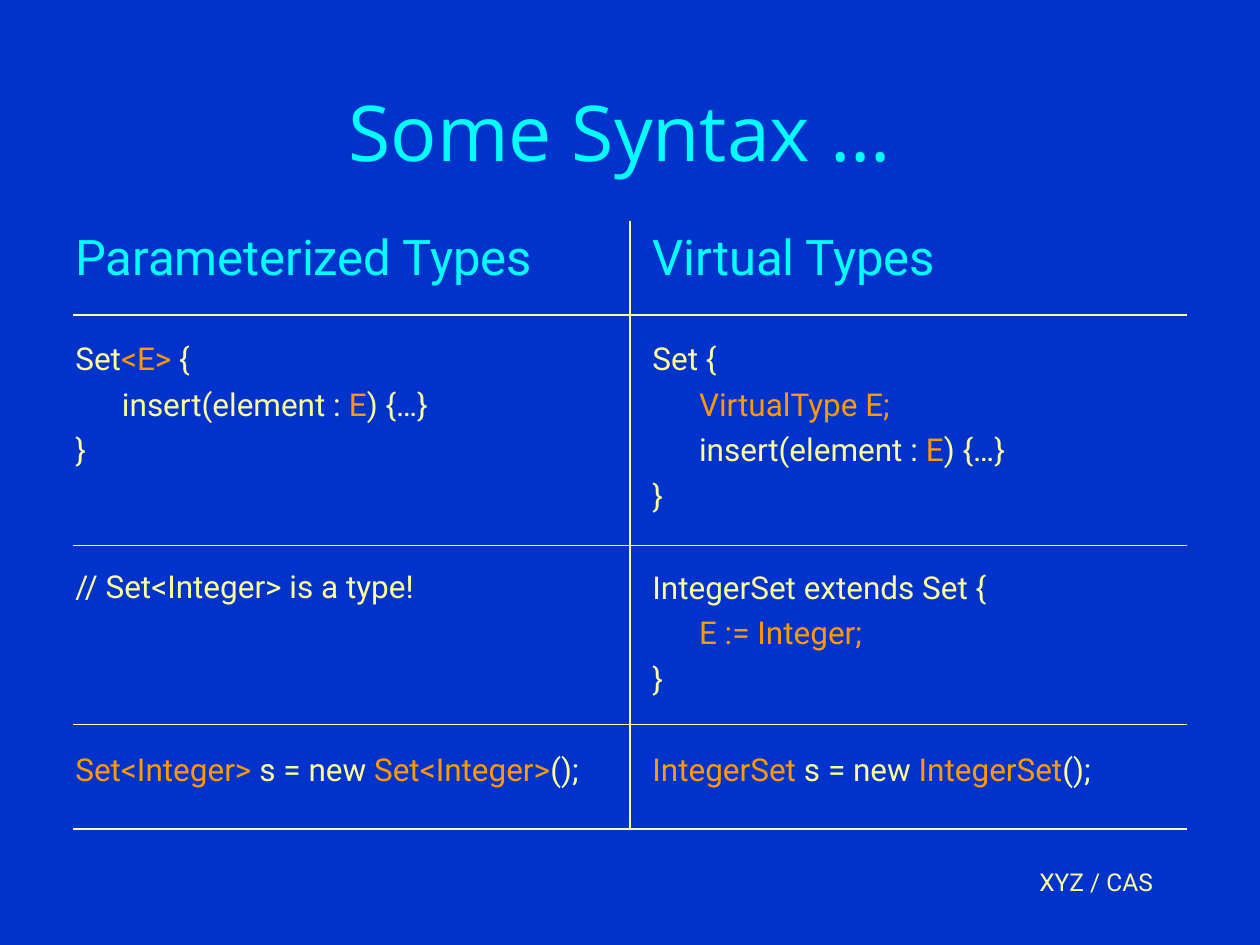
"""Build a slide comparing the syntax of parameterized and virtual types."""
from lxml import etree
from pptx import Presentation
from pptx.dml.color import RGBColor
from pptx.enum import shapes, text
from pptx.oxml import ns
from pptx.util import Inches, Pt

COLORS = {"back": "0033CC", "head": "00FFFF", "body": "FFFF99", "accent": "FF9900"}
BODY_FONT, TITLE_FONT = "Roboto", "Open Sans"
LINE_GAP, LINE_PITCH = 4.5, 26.1

PARAMETERIZED = [
    (1, "Set|<E>| {"),
    (0, "\tinsert(element : |E|) {…}"),
    (0, "}"),
    (2, "// Set<Integer> is a type!"),
    (3, "|Set<Integer> |s = new| Set<Integer>|();"),
]
VIRTUAL = [
    (1, "Set {"),
    (0, "\t|VirtualType E;"),
    (0, "\tinsert(element : |E|) {…}"),
    (0, "}"),
    (1, "IntegerSet extends Set {"),
    (0, "\t|E := Integer;"),
    (0, "}"),
    (1, "|IntegerSet |s = new| IntegerSet|();"),
]


def rgb(name):
    """Return the named colour."""
    return RGBColor.from_string(COLORS[name])


def add_run(p, words, size, color, font=BODY_FONT):
    """Append a formatted run to a paragraph."""
    r = p.add_run()
    r.text = words
    r.font.size = Pt(size)
    r.font.name = font
    r.font.color.rgb = rgb(color)


def add_box(s, box):
    """Add a wrapping text box and return its text frame."""
    tf = s.shapes.add_textbox(*map(Inches, box)).text_frame
    tf.word_wrap = True
    return tf


def add_label(s, box, words, size, color, font, align, anchor):
    """Add a single-line label."""
    tf = add_box(s, box)
    tf.vertical_anchor = anchor
    p = tf.paragraphs[0]
    p.alignment = align
    add_run(p, words, size, color, font)


def add_column(s, box, heading, lines):
    """Add a heading and code lines, where odd parts between bars are accented."""
    tf = add_box(s, box)
    p = tf.paragraphs[0]
    p.space_before = Pt(7)
    add_run(p, heading, 28, "head")
    for skipped, line in lines:
        p = tf.add_paragraph()
        p.space_before = Pt(LINE_GAP + skipped * LINE_PITCH)
        if line.startswith("\t"):
            p._p.get_or_add_pPr().set("marL", str(Inches(0.37)))
        for i, part in enumerate(line.lstrip("\t").split("|")):
            if part:
                add_run(p, part, 18, "accent" if i % 2 else "body")


def add_rule(s, x1, y1, x2, y2):
    """Add a thin straight rule."""
    c = s.shapes.add_connector(
        shapes.MSO_CONNECTOR.STRAIGHT, *map(Inches, (x1, y1, x2, y2)))
    c.line.color.rgb = rgb("body")
    c.line.width = Pt(0.75)
    etree.SubElement(c._element.spPr, ns.qn("a:effectLst"))


def add_grid(s, left, top, width, height, middle, rows):
    """Rule off the rows and the two columns of the comparison."""
    for y in rows:
        add_rule(s, left, y, left + width, y)
    add_rule(s, middle, top, middle, top + height)


def main():
    """Build and save the slide."""
    prs = Presentation()
    prs.slide_width, prs.slide_height = Inches(10), Inches(7.5)
    s = prs.slides.add_slide(prs.slide_layouts[6])
    s.background.fill.solid()
    s.background.fill.fore_color.rgb = rgb("back")

    add_label(s, (7.17, 6.83, 2.08, 0.5), "XYZ / CAS", 14, "body", BODY_FONT,
              text.PP_ALIGN.RIGHT, text.MSO_ANCHOR.TOP)
    add_label(s, (0.75, 0.62, 8.5, 0.84), "Some Syntax … ", 44, "head", TITLE_FONT,
              text.PP_ALIGN.CENTER, text.MSO_ANCHOR.MIDDLE)
    add_column(s, (0.5, 1.75, 4.5, 4.92), "Parameterized Types", PARAMETERIZED)
    add_column(s, (5.08, 1.75, 4.17, 4.92), "Virtual Types", VIRTUAL)
    add_grid(s, 0.58, 1.75, 8.84, 4.83, 5, (2.5, 4.33, 5.75, 6.58))
    prs.save("out.pptx")


if __name__ == "__main__":
    main()
